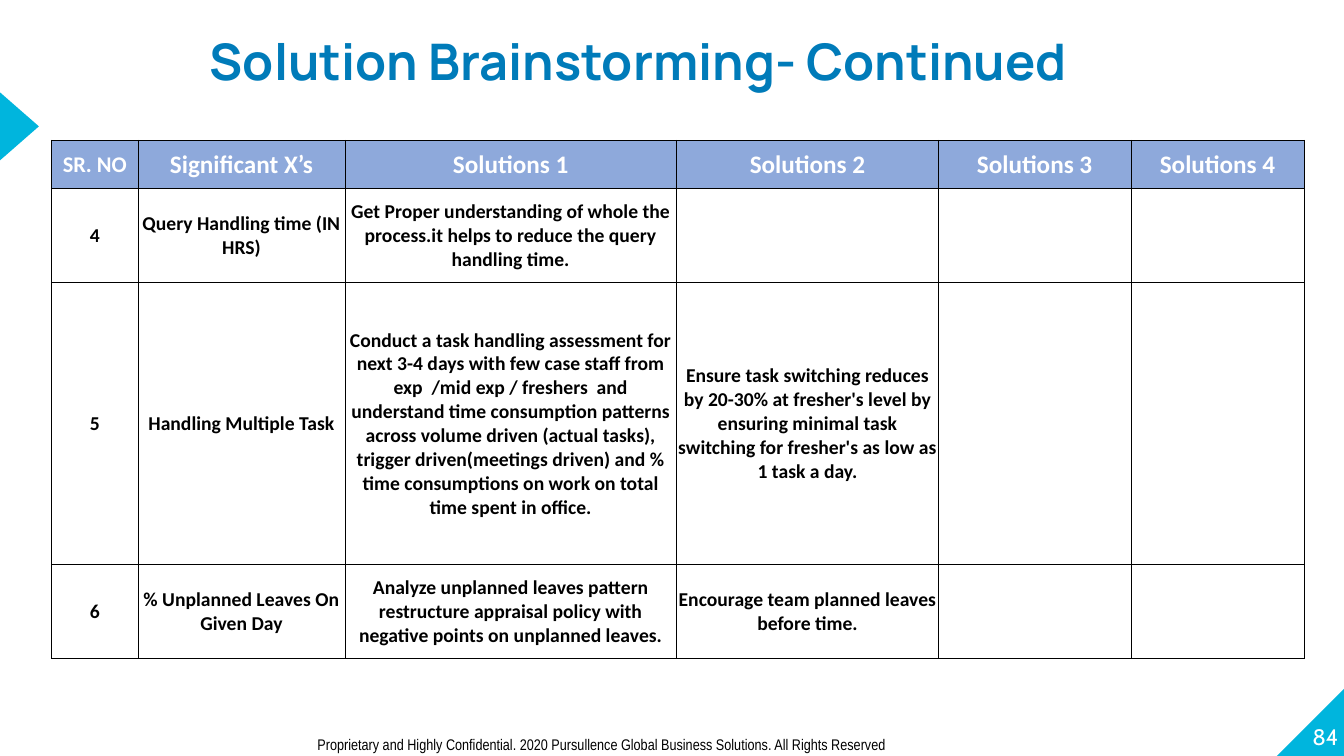
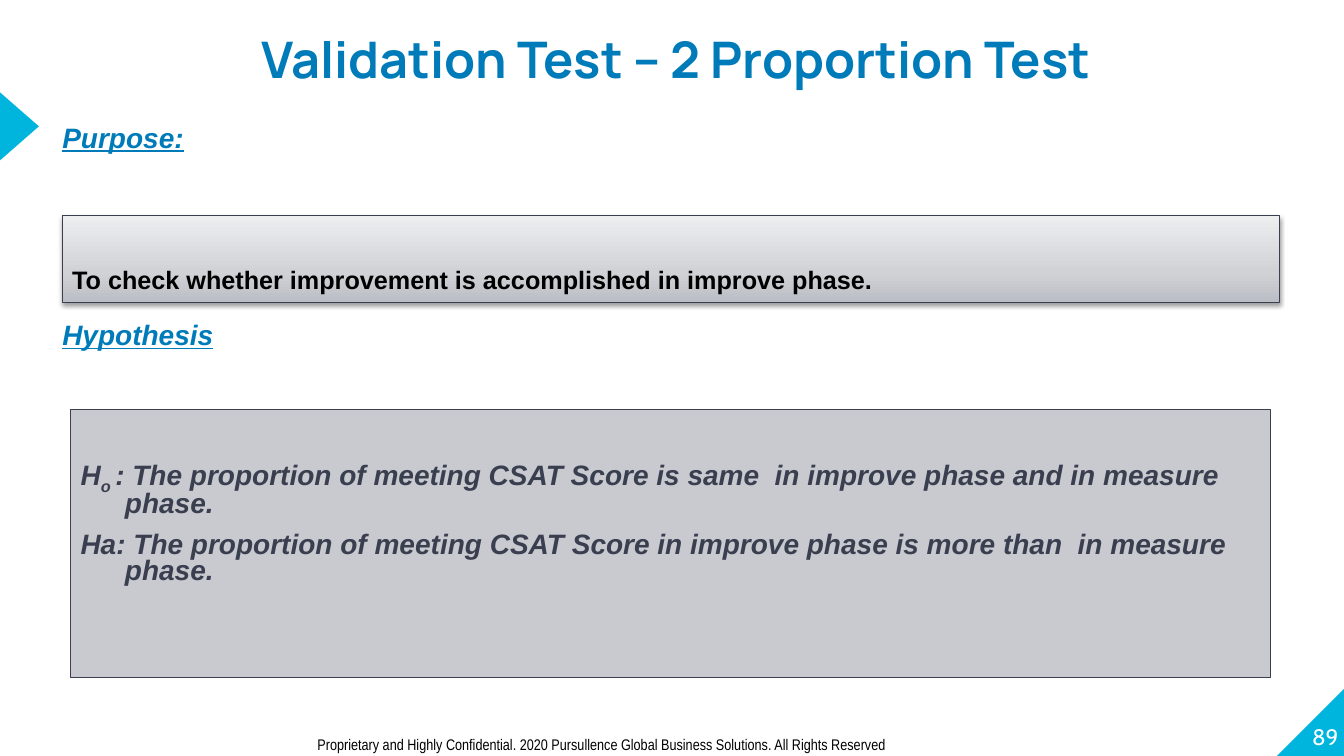
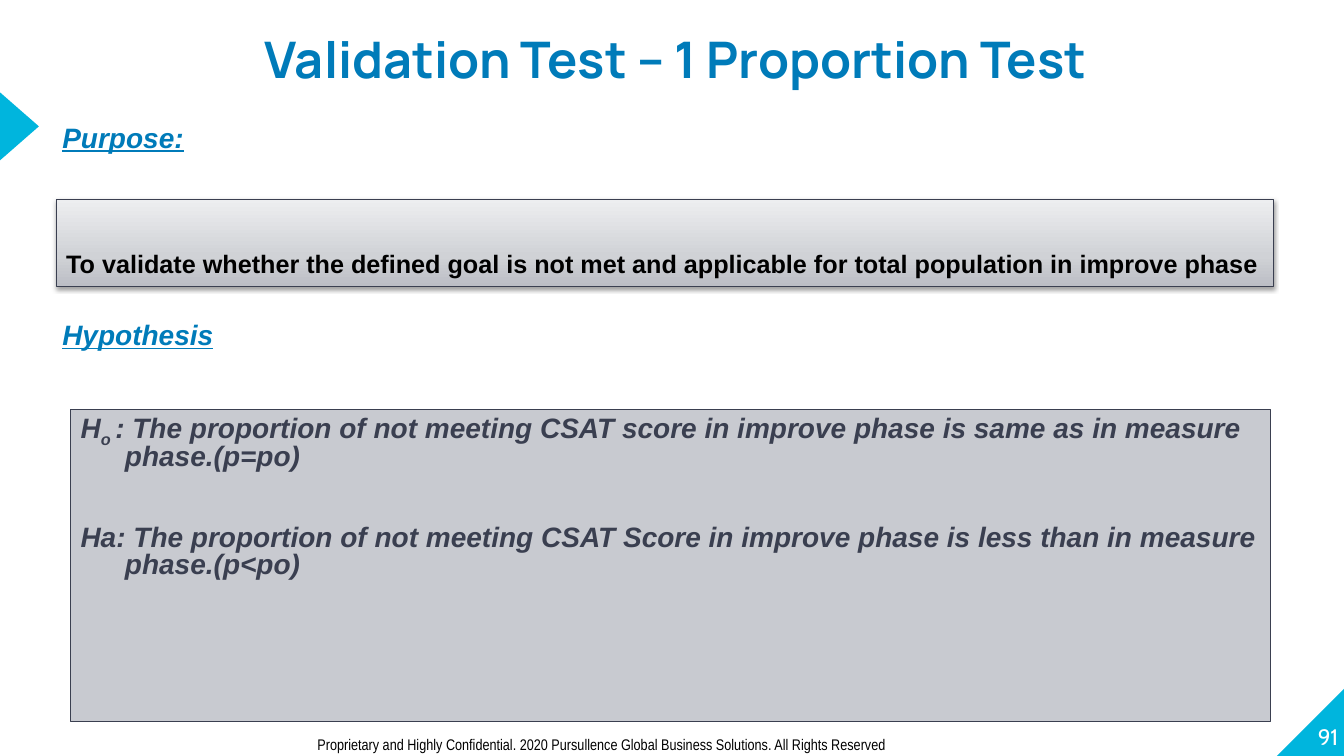
from lxml.etree import SubElement
from pptx import Presentation
from pptx.dml.color import RGBColor
from pptx.enum.shapes import MSO_SHAPE as Preset
from pptx.enum.text import MSO_ANCHOR as Anchor, MSO_AUTO_SIZE as AutoSize, PP_ALIGN as Align
from pptx.oxml.ns import qn
from pptx.util import Cm, Pt

BLUE = RGBColor(0x00, 0x7B, 0xB9)
CYAN = RGBColor(0x00, 0xB5, 0xDD)
HEADER_BLUE = RGBColor(0x8E, 0xA9, 0xDB)
SLATE = RGBColor(0x3A, 0x3F, 0x50)
PANEL_GREY = RGBColor(0xC8, 0xCA, 0xD0)
WHITE = RGBColor(0xFF, 0xFF, 0xFF)
BLACK = RGBColor(0x00, 0x00, 0x00)
# Position in percent and colour, from the bottom of the box upwards
GRADIENT = [
    (0, RGBColor(0xBC, 0xBE, 0xC5)),
    (35, RGBColor(0xD0, 0xD2, 0xD6)),
    (100, RGBColor(0xED, 0xEE, 0xF0)),
]

FOOTER = ("Proprietary and Highly Confidential. 2020 Pursullence Global Business Solutions. "
          "All Rights Reserved")
TITLE_RIGHT = 29.36
TABLE_COLUMNS = [2.18, 5.21, 8.36, 6.6, 4.85, 4.37]
TABLE_ROWS = [1.22, 2.36, 7.11, 2.36]
SOLUTIONS = [
    ["SR. NO", "Significant X’s", "Solutions 1", "Solutions 2", "Solutions 3", "Solutions 4"],
    ["4", "Query Handling time (IN HRS)",
     "Get Proper understanding of whole the process.it helps to reduce the query handling time.",
     "", "", ""],
    ["5", "Handling Multiple Task",
     "Conduct a task handling assessment for next 3-4 days with few case staff from "
     "exp  /mid exp / freshers  and understand time consumption patterns across volume driven "
     "(actual tasks), trigger driven(meetings driven) and % time consumptions on work on total "
     "time spent in office.",
     "Ensure task switching reduces by 20-30% at fresher's level by ensuring minimal task "
     "switching for fresher's as low as 1 task a day.", "", ""],
    ["6", "% Unplanned Leaves On Given Day",
     "Analyze unplanned leaves pattern restructure appraisal policy with negative points on "
     "unplanned leaves.",
     "Encourage team planned leaves before time.", "", ""],
]


def style(font, name, size, color, bold=False, italic=False, underline=False):
    font.name, font.size, font.color.rgb = name, Pt(size), color
    font.bold, font.italic, font.underline = bold, italic, underline


def set_insets(text_frame, inset):
    text_frame.margin_left = text_frame.margin_right = inset
    text_frame.margin_top = text_frame.margin_bottom = inset


def add_text(slide, text, left, top, width, height):
    """Add a wrapping text box and return its text frame and first run's font."""
    box = slide.shapes.add_textbox(Cm(left), Cm(top), Cm(width), Cm(height))
    box.text_frame.word_wrap = True
    box.text_frame.text = text
    return box.text_frame, box.text_frame.paragraphs[0].runs[0].font


def add_preset(slide, preset, left, top, width, height):
    shape = slide.shapes.add_shape(preset, Cm(left), Cm(top), Cm(width), Cm(height))
    shape.shadow.inherit = False
    return shape


def add_outline(shape):
    shape.line.color.rgb = SLATE
    shape.line.width = Pt(0.75)


def decorate_layout(layout, slide):
    """Draw the two cyan triangles on the slide and move them to its layout."""
    for placeholder in list(layout.placeholders)[1:]:
        layout.shapes.element.remove(placeholder.element)
    corner = add_preset(slide, Preset.RIGHT_TRIANGLE, 32.18, 17.32, 1.73, 1.73)
    corner.element.spPr.xfrm.set("flipH", "1")
    side_arrow = add_preset(slide, Preset.ISOSCELES_TRIANGLE, -0.38, 2.69, 1.73, 0.99)
    side_arrow.rotation = 90
    for triangle in (corner, side_arrow):
        triangle.fill.solid()
        triangle.fill.fore_color.rgb = CYAN
        triangle.line.fill.background()
        layout.shapes.element.append(triangle.element)


def set_title(slide, text, left, top):
    title = slide.shapes.title
    title.left, title.top = Cm(left), Cm(top)
    title.width, title.height = Cm(TITLE_RIGHT - left), Cm(1.93)
    frame = title.text_frame
    frame.text = text
    frame.auto_size = AutoSize.NONE
    frame.vertical_anchor = Anchor.TOP
    set_insets(frame, 0)
    paragraph = frame.paragraphs[0]
    paragraph.alignment = Align.CENTER
    paragraph.line_spacing = 1.5
    style(paragraph.runs[0].font, "Manrope", 36, BLUE, bold=True)


def add_footer(slide, page):
    style(add_text(slide, FOOTER, 7.75, 18.39, 21.62, 0.74)[1], "Arial Narrow", 11, BLACK)
    frame, font = add_text(slide, page, 32.03, 17.17, 1.7, 1.73)
    set_insets(frame, 0)
    frame.vertical_anchor = Anchor.BOTTOM
    frame.paragraphs[0].alignment = Align.RIGHT
    style(font, "Cabin", 16, WHITE)


def add_heading(slide, text, top, width):
    font = add_text(slide, text, 1.32, top, width, 1.12)[1]
    style(font, "Arial", 20, BLUE, bold=True, italic=True, underline=True)


def add_color(parent, color):
    return SubElement(parent, qn("a:srgbClr"), val=str(color))


def add_borders(cell):
    properties = cell._tc.get_or_add_tcPr()
    for side in ("a:lnL", "a:lnR", "a:lnT", "a:lnB"):
        line = SubElement(properties, qn(side), w=str(Pt(0.5)))
        add_color(SubElement(line, qn("a:solidFill")), BLACK)


def fill_cell(cell, text, size, header):
    add_borders(cell)
    if header:
        cell.fill.solid()
        cell.fill.fore_color.rgb = HEADER_BLUE
    else:
        cell.fill.background()
    cell.vertical_anchor = Anchor.MIDDLE
    cell.margin_left = cell.margin_right = cell.margin_top = Cm(0.03)
    cell.margin_bottom = 0
    cell.text_frame.text = text
    paragraph = cell.text_frame.paragraphs[0]
    paragraph.alignment = Align.CENTER
    style(paragraph.font, "Calibri", size, WHITE if header else BLACK, bold=True)
    for run in paragraph.runs:
        style(run.font, "Calibri", size, WHITE if header else BLACK, bold=True)


def add_solution_table(slide):
    table = slide.shapes.add_table(
        len(TABLE_ROWS), len(TABLE_COLUMNS), Cm(1.3), Cm(3.53),
        Cm(sum(TABLE_COLUMNS)), Cm(sum(TABLE_ROWS))).table
    table.first_row = table.horz_banding = False
    for column, width in zip(table.columns, TABLE_COLUMNS):
        column.width = Cm(width)
    for row, height in zip(table.rows, TABLE_ROWS):
        row.height = Cm(height)
    for row_index, texts in enumerate(SOLUTIONS):
        header = row_index == 0
        for column_index, text in enumerate(texts):
            size = 14 if not header else 18 if column_index else 16
            fill_cell(table.cell(row_index, column_index), text, size, header)


def add_gradient(shape):
    gradient = SubElement(shape.element.spPr, qn("a:gradFill"), rotWithShape="1")
    stops = SubElement(gradient, qn("a:gsLst"))
    for percent, color in GRADIENT:
        add_color(SubElement(stops, qn("a:gs"), pos=str(percent * 1000)), color)
    SubElement(gradient, qn("a:lin"), ang=str(270 * 60000), scaled="0")
    shape.element.spPr.find(qn("a:prstGeom")).addnext(gradient)


def add_drop_shadow(shape):
    effects = shape.element.spPr.find(qn("a:effectLst"))
    shadow = SubElement(effects, qn("a:outerShdw"), blurRad=str(Pt(3.1)), dist=str(Pt(1.6)),
                        dir=str(90 * 60000), rotWithShape="0")
    SubElement(add_color(shadow, BLACK), qn("a:alpha"), val="38000")


def add_purpose_box(slide, text, left, top):
    box = add_preset(slide, Preset.RECTANGLE, left, top, 30.68, 2.18)
    add_gradient(box)
    add_outline(box)
    add_drop_shadow(box)
    frame = box.text_frame
    frame.text = text
    frame.word_wrap = True
    frame.vertical_anchor = Anchor.BOTTOM
    frame.margin_bottom = Cm(0.2)
    frame.paragraphs[0].alignment = Align.JUSTIFY
    style(frame.paragraphs[0].runs[0].font, "Arial", 18, BLACK, bold=True)


def add_hypothesis_panel(slide, null, alternative, height, top_inset, gap):
    panel = add_preset(slide, Preset.RECTANGLE, 1.78, 10.31, 30.25, height)
    panel.fill.solid()
    panel.fill.fore_color.rgb = PANEL_GREY
    add_outline(panel)
    frame = panel.text_frame
    frame.word_wrap = True
    frame.vertical_anchor = Anchor.TOP
    frame.margin_top = Cm(top_inset)
    null_paragraph = frame.paragraphs[0]
    alternative_paragraph = frame.add_paragraph()
    alternative_paragraph.space_before = Pt(gap)
    for text in ("H", "o ", ": " + null):
        null_paragraph.add_run().text = text
    alternative_paragraph.text = "Ha: " + alternative
    for paragraph in frame.paragraphs:
        paragraph.alignment = Align.LEFT
        paragraph.line_spacing = 0.8
        properties = paragraph._p.get_or_add_pPr()
        properties.set("marL", str(Cm(1.12)))
        properties.set("indent", str(-Cm(1.12)))
        for run in paragraph.runs:
            style(run.font, "Arial", 20, SLATE, bold=True, italic=True)
    null_paragraph.runs[1]._r.get_or_add_rPr().set("baseline", "-25000")


def build_test_slide(slide, title, page, purpose, purpose_at, hypotheses):
    set_title(slide, title, 4.7, -0.05)
    add_heading(slide, "Purpose:", 2.9, 30.68)
    add_purpose_box(slide, purpose, *purpose_at)
    add_heading(slide, "Hypothesis", 7.87, 13.89)
    add_hypothesis_panel(slide, **hypotheses)
    add_footer(slide, page)


def main():
    presentation = Presentation()
    presentation.slide_width, presentation.slide_height = Cm(33.87), Cm(19.05)
    layout = presentation.slide_layouts.get_by_name("Title Only")
    solutions, two_proportion, one_proportion = [
        presentation.slides.add_slide(layout) for _ in range(3)]
    decorate_layout(layout, solutions)

    set_title(solutions, "Solution Brainstorming- Continued", 2.82, 0)
    add_solution_table(solutions)
    add_footer(solutions, "84")

    build_test_slide(
        two_proportion, "Validation Test – 2 Proportion Test", "89",
        "To check whether improvement is accomplished in improve phase.", (1.57, 5.44),
        dict(null="The proportion of meeting CSAT Score is same  in improve phase and in "
                  "measure phase.",
             alternative="The proportion of meeting CSAT Score in improve phase is more than  "
                         "in measure phase.",
             height=6.76, top_inset=1.31, gap=10))
    build_test_slide(
        one_proportion, "Validation Test – 1 Proportion Test", "91",
        "To validate whether the defined goal is not met and applicable for total population "
        "in improve phase", (1.42, 5.03),
        dict(null="The proportion of not meeting CSAT score in improve phase is same as in "
                  "measure phase.(p=po)",
             alternative="The proportion of not meeting CSAT Score in improve phase is less than "
                         "in measure phase.(p<po)",
             height=7.87, top_inset=0.13, gap=39))
    presentation.save("out.pptx")


if __name__ == "__main__":
    main()
